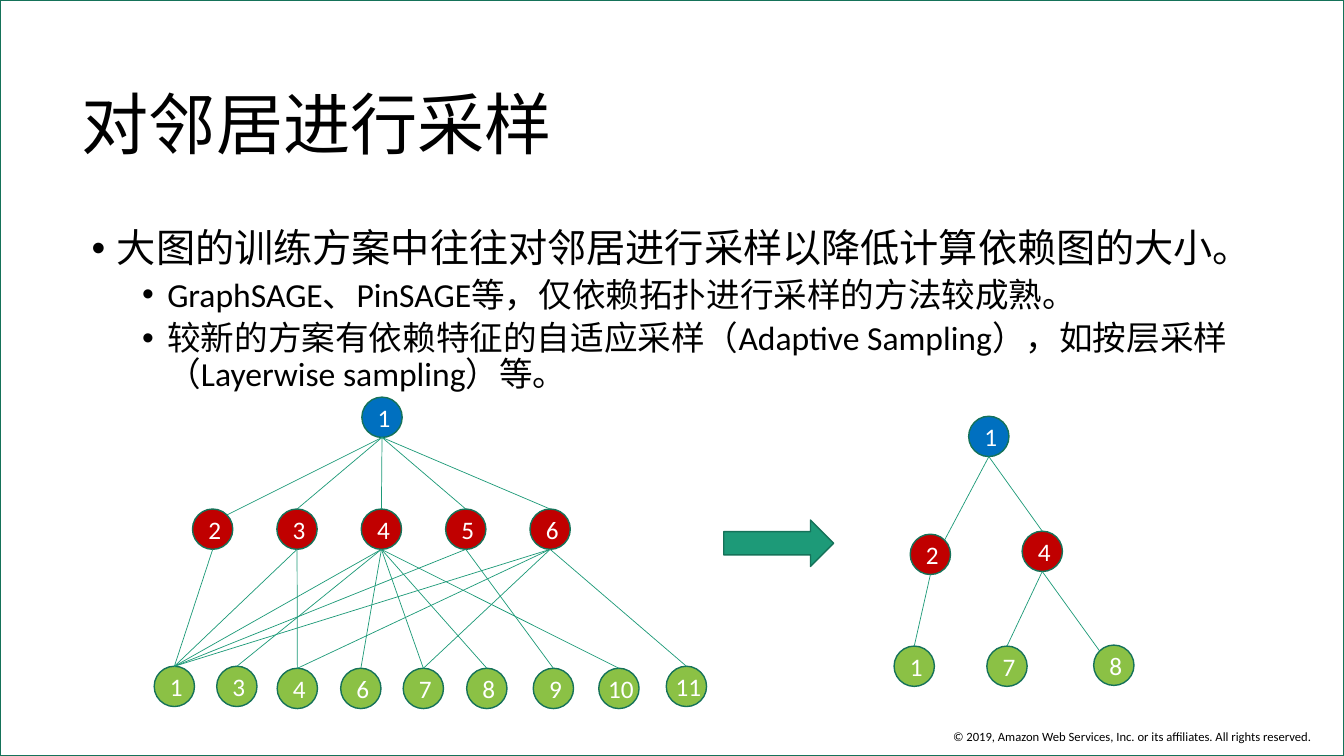
"""Build the slide on sampling neighbours in large graphs."""
from lxml.etree import SubElement as Sub
from pptx import Presentation
from pptx.dml.color import RGBColor as Rgb
from pptx.enum.shapes import MSO_CONNECTOR as Link, MSO_SHAPE as Kind
from pptx.enum.text import MSO_ANCHOR as Anchor, MSO_AUTO_SIZE as Fit, PP_ALIGN as Align
from pptx.oxml.ns import qn
from pptx.util import Inches, Pt

CELL = Inches(0.1)
SIZE = 4
FONT = "Calibri"
GREEN, DARK = "1D9A78", "157259"
BLUE, RED, LIME = "0070C0", "C00000", "8BC145"


def grid(*cells):
    return [round(n * CELL) for n in cells]


def write(para, text, size, color):
    run = para.add_run()
    run.text = text
    run.font.name = FONT
    run.font.size = Pt(size)
    run.font.color.rgb = Rgb.from_string(color)


deck = Presentation()
deck.slide_width, deck.slide_height = grid(133.33, 75)
slide = deck.slides.add_slide(deck.slide_layouts[1])
shapes = slide.shapes
title, body = slide.placeholders

title.left, title.top, title.width, title.height = grid(7.1, 8.6, 114.7, 10.9)
frame = title.text_frame
frame.auto_size = Fit.NONE
frame.vertical_anchor = Anchor.TOP
para = frame.paragraphs[0]
para.alignment = Align.LEFT
para.line_spacing = 0.9
write(para, "对邻居进行采样", 48, "000000")

body.left, body.top, body.width, body.height = grid(7.1, 21.1, 118.3, 31.4)
frame = body.text_frame
frame.auto_size = Fit.NONE
frame.margin_left, frame.margin_top, frame.margin_right, frame.margin_bottom = grid(2, 1.6, 2, 1.6)
points = [
    (0, 28, "大图的训练方案中往往对邻居进行采样以降低计算依赖图的大小。"),
    (1, 24, "GraphSAGE、PinSAGE等，仅依赖拓扑进行采样的方法较成熟。"),
    (1, 24, "较新的方案有依赖特征的自适应采样（Adaptive Sampling），如按层采样（Layerwise sampling）等。"),
]
for i, (level, size, text) in enumerate(points):
    para = frame.add_paragraph() if i else frame.paragraphs[0]
    props = para._p.get_or_add_pPr()
    indent, hang = grid(2.5 + 5 * level, -2.5)
    props.set("marL", str(indent))
    props.set("indent", str(hang))
    Sub(props, qn("a:buFont")).set("typeface", "Arial")
    Sub(props, qn("a:buChar")).set("char", "•")
    para.level = level
    para.line_spacing = 0.9
    para.space_before = Pt(5 * level)
    write(para, text, size, "000000")

trees = [
    {
        "root": (35.9, 39.4),
        "mids": {i + 2: (19.1 + 8.37 * i, 50.5, 1 if i == 0 else 0) for i in range(5)},
        "leaves": {
            1: (15.3, 66.1, 0), 3: (21.5, 66.1, 0), 4: (27.5, 66.3, 0),
            6: (33.8, 66.3, 0), 7: (40, 66.3, 0), 8: (46.3, 66.3, 0),
            9: (52.9, 66.3, 0), 10: (59.4, 66.3, 0), 11: (66.1, 66.1, 0),
        },
        "edges": {2: [1], 3: [1, 4], 4: [1, 3, 6, 7, 8, 10], 5: [1, 9], 6: [1, 4, 7, 11]},
    },
    {
        "root": (96.1, 41.3),
        "mids": {2: (90.3, 53, 1), 4: (101.4, 52.7, 0)},
        "leaves": {1: (88.7, 64.1, 0), 7: (97.9, 64.1, 0), 8: (108.5, 64, -1)},
        "edges": {2: [1], 4: [7, 8]},
    },
]

items = [
    (Kind.RECTANGLE, (0, 0, 133.33, 75), None, ""),
    (Kind.RIGHT_ARROW, (71.8, 51.6, 10.9, 4.6), GREEN, ""),
]
pairs = []
for tree in trees:
    root, mids, leaves = tree["root"], tree["mids"], tree["leaves"]
    items.append((Kind.OVAL, (*root, SIZE, SIZE), BLUE, "1"))
    for row, color in ((mids, RED), (leaves, LIME)):
        for label, (x, y, side) in row.items():
            items.append((Kind.OVAL, (x, y, SIZE, SIZE), color, str(label)))
    pairs += [(root, mid) for mid in mids.values()]
    pairs += [(mids[m], leaves[n]) for m, ends in tree["edges"].items() for n in ends]

for kind, box, color, text in items:
    shape = shapes.add_shape(kind, *grid(*box))
    shape.shadow.inherit = False
    shape.line.color.rgb = Rgb.from_string(DARK)
    shape.line.width = Pt(1)
    if color:
        shape.fill.solid()
        shape.fill.fore_color.rgb = Rgb.from_string(color)
    else:
        shape.fill.background()
    if text:
        frame = shape.text_frame
        frame.margin_left, frame.margin_top, frame.margin_right, frame.margin_bottom = grid(0.4, 0, 0, 0)
        frame.word_wrap = False
        frame.vertical_anchor = Anchor.MIDDLE
        para = frame.paragraphs[0]
        para.alignment = Align.CENTER
        write(para, text, 18, "FFFFFF")

for top, (x, y, side) in pairs:
    start = (top[0] + SIZE / 2, top[1] + SIZE)
    end = (x + SIZE / 2 + 1.4 * side, y + 0.6 * abs(side))
    edge = shapes.add_connector(Link.STRAIGHT, *grid(*start, *end))
    edge.line.color.rgb = Rgb.from_string(GREEN)
    edge.line.width = Pt(0.5)
    Sub(edge._element.spPr, qn("a:effectLst"))

note = shapes.add_textbox(*grid(93, 72.3, 38.6, 1.5))
frame = note.text_frame
frame.margin_left = frame.margin_top = frame.margin_right = frame.margin_bottom = 0
frame.word_wrap = True
para = frame.paragraphs[0]
para.alignment = Align.CENTER
write(para, "© 2019, Amazon Web Services, Inc. or its affiliates. All rights reserved.", 9, "000000")

deck.save("out.pptx")
